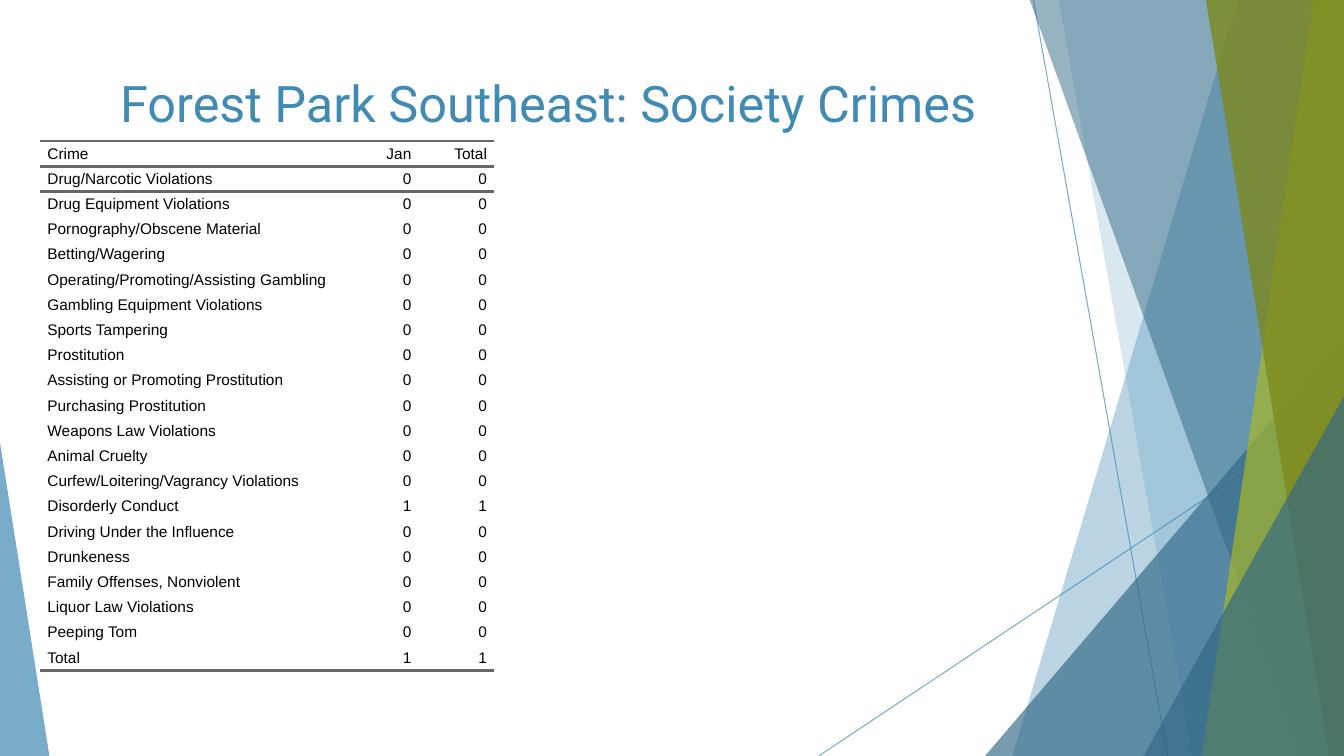
from dataclasses import dataclass

from lxml import etree
from pptx import Presentation
from pptx.dml.color import RGBColor
from pptx.enum.shapes import MSO_CONNECTOR, MSO_SHAPE
from pptx.enum.text import MSO_ANCHOR, PP_ALIGN
from pptx.oxml.ns import qn
from pptx.util import Emu, Pt

PX = 9144
WIDE, HIGH = 1333, 750
BLUE = RGBColor(0x41, 0x8A, 0xB3)
NAVY = RGBColor(0x31, 0x68, 0x86)
LIME = RGBColor(0xA6, 0xB7, 0x27)
OLIVE = RGBColor(0x7D, 0x89, 0x1D)
GRAY = RGBColor(0x66, 0x66, 0x66)
BLACK = RGBColor(0, 0, 0)
LINE = MSO_CONNECTOR.STRAIGHT
WEDGE = MSO_SHAPE.ISOSCELES_TRIANGLE
LEFT, CENTER, RIGHT = PP_ALIGN.LEFT, PP_ALIGN.CENTER, PP_ALIGN.RIGHT
TOP, MIDDLE = MSO_ANCHOR.TOP, MSO_ANCHOR.MIDDLE
PLAIN = "{2D5ABB26-0587-4C30-8999-92F81FD0307C}"

TITLE = "Forest Park Southeast: Society Crimes"
HEADS = ("Crime", "Jan", "Total")
WIDTHS = (300, 75, 75)
ROW = 25
INDENT = 7
CRIMES = (
    "Drug/Narcotic Violations",
    "Drug Equipment Violations",
    "Pornography/Obscene Material",
    "Betting/Wagering",
    "Operating/Promoting/Assisting Gambling",
    "Gambling Equipment Violations",
    "Sports Tampering",
    "Prostitution",
    "Assisting or Promoting Prostitution",
    "Purchasing Prostitution",
    "Weapons Law Violations",
    "Animal Cruelty",
    "Curfew/Loitering/Vagrancy Violations",
    "Disorderly Conduct",
    "Driving Under the Influence",
    "Drunkeness",
    "Family Offenses, Nonviolent",
    "Liquor Law Violations",
    "Peeping Tom",
)
COUNTS = {"Disorderly Conduct": 1}


@dataclass
class Ray:
    start: tuple[int, int]
    end: tuple[int, int]


@dataclass
class Band:
    top: tuple[int, int]
    foot: tuple[int, int]
    color: RGBColor
    alpha: int


@dataclass
class Peak:
    left: int
    top: int
    width: int
    apex: int
    color: RGBColor
    alpha: int


RAYS = (Ray((1025, 0), (1158, HIGH)), Ray((WIDE, 403), (812, HIGH)))
PARTS = (
    Band((1228, WIDE), (1004, WIDE), BLUE, 36),
    Band((1050, WIDE), (1183, WIDE), BLUE, 20),
    Peak(977, 333, 356, 1, NAVY, 66),
    Band((1021, WIDE), (1291, WIDE), NAVY, 50),
    Band((1303, WIDE), (1192, WIDE), LIME, 70),
    Band((1196, WIDE), (1318, WIDE), OLIVE, 80),
    Peak(1134, 393, 199, 1, NAVY, 66),
    Peak(0, 439, 49, 0, BLUE, 70),
)


def px(size: int) -> Emu:
    return Emu(size * PX)


def fade(node, alpha: int) -> None:
    color = next(node.iter(qn("a:srgbClr")))
    etree.SubElement(color, qn("a:alpha"), val=str(alpha * 1000))


def draw_ray(shapes, ray: Ray) -> None:
    line = shapes.add_connector(LINE, *map(px, ray.start + ray.end))
    line.line.color.rgb = BLUE
    line.line.width = Pt(0.75)
    frame = line._element.spPr
    fade(frame, 70)
    etree.SubElement(frame, qn("a:effectLst"))


def draw_part(shapes, part: Band | Peak) -> None:
    if isinstance(part, Band):
        pen = shapes.build_freeform(part.top[0], -1, PX)
        pen.add_line_segments(
            [(part.top[1], -1), (part.foot[1], HIGH), (part.foot[0], HIGH)], True)
        shape = pen.convert_to_shape()
    else:
        box = (part.left, part.top, part.width, HIGH - part.top)
        shape = shapes.add_shape(WEDGE, *map(px, box))
        shape.adjustments[0] = part.apex
    shape.shadow.inherit = False
    shape.fill.solid()
    shape.fill.fore_color.rgb = part.color
    shape.line.fill.background()
    fade(shape._element.spPr, part.alpha)


def style(frame, align: PP_ALIGN, name: str, size: int, color: RGBColor) -> None:
    para = frame.paragraphs[0]
    para.alignment = align
    for run in para.runs:
        run.font.name = name
        run.font.size = Pt(size)
        run.font.color.rgb = color


def rule(cell, side: str) -> None:
    props = cell._tc.get_or_add_tcPr()
    edge = etree.SubElement(props, qn(f"a:{side}"), w=str(Pt(2)))
    fill = etree.SubElement(edge, qn("a:solidFill"))
    etree.SubElement(fill, qn("a:srgbClr"), val=str(GRAY))


def fill_cell(cell, text: str, align: PP_ALIGN, sides: tuple[str, ...]) -> None:
    cell.margin_left = cell.margin_right = 0
    cell.margin_top = cell.margin_bottom = 0
    cell.vertical_anchor = MIDDLE
    frame = cell.text_frame
    frame.text = text
    props = frame.paragraphs[0]._p.get_or_add_pPr()
    for side in ("marL", "marR"):
        props.set(side, str(px(INDENT)))
    style(frame, align, "Arial", 11, BLACK)
    for side in sides:
        rule(cell, side)
    cell.fill.background()


def draw_table(shapes) -> None:
    total = sum(COUNTS.values())
    body = [(crime, COUNTS.get(crime, 0)) for crime in CRIMES]
    rows = [HEADS] + [(name, n, n) for name, n in body + [("Total", total)]]
    last = len(rows) - 1
    edges = {0: ("lnT", "lnB"), 1: ("lnT",), last: ("lnB",)}
    box = (40, 140, sum(WIDTHS), ROW * len(rows))
    holder = shapes.add_table(len(rows), len(HEADS), *map(px, box))
    table = holder.table
    table.first_row = table.horz_banding = False
    next(holder._element.iter(qn("a:tableStyleId"))).text = PLAIN
    for col, width in zip(table.columns, WIDTHS):
        col.width = px(width)
    for r, row in enumerate(rows):
        table.rows[r].height = px(ROW)
        for c, value in enumerate(row):
            align = RIGHT if c else LEFT
            fill_cell(table.cell(r, c), str(value), align, edges.get(r, ()))


def draw_title(shapes) -> None:
    frame = shapes.add_textbox(*map(px, (74, 67, 940, 144))).text_frame
    frame.word_wrap = True
    frame.vertical_anchor = TOP
    frame.text = TITLE
    style(frame, CENTER, "Roboto", 36, BLUE)


def main() -> None:
    deck = Presentation()
    deck.slide_width, deck.slide_height = px(WIDE), px(HIGH)
    shapes = deck.slides.add_slide(deck.slide_layouts[6]).shapes
    for ray in RAYS:
        draw_ray(shapes, ray)
    for part in PARTS:
        draw_part(shapes, part)
    draw_table(shapes)
    draw_title(shapes)
    deck.save("out.pptx")


if __name__ == "__main__":
    main()
